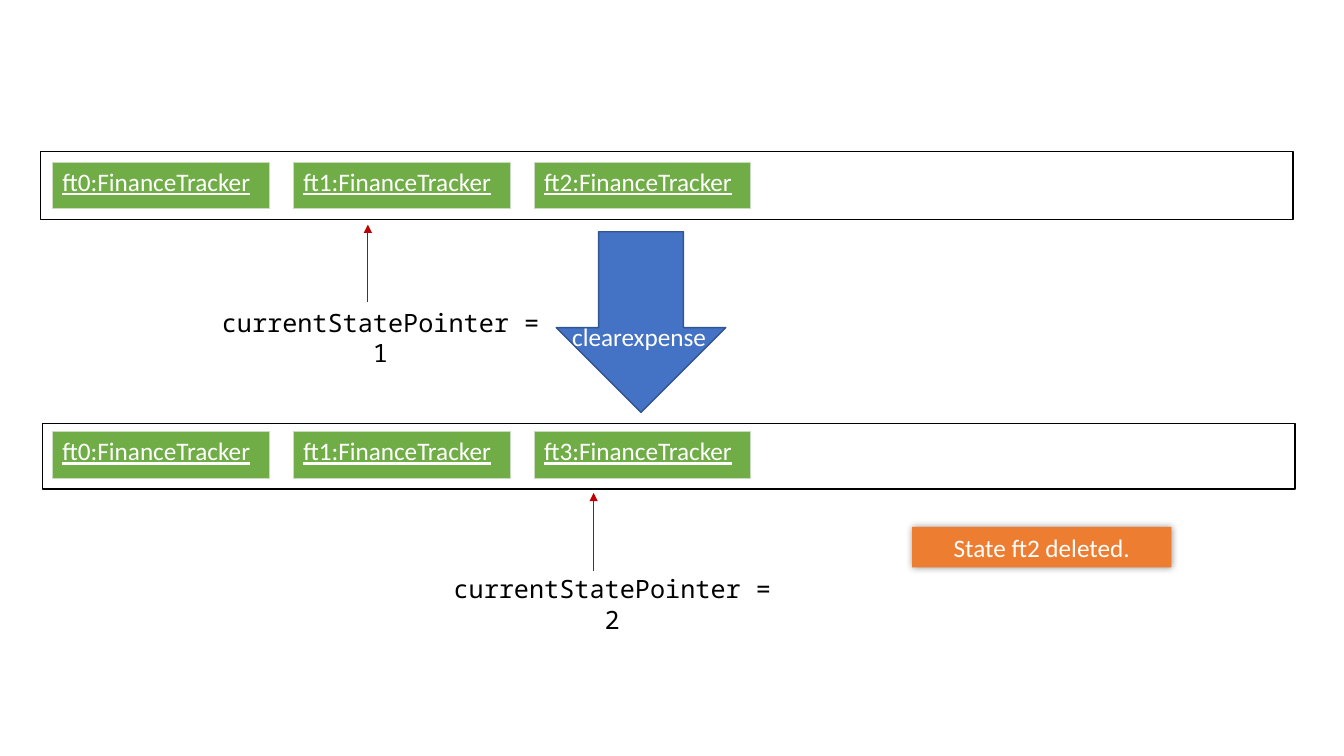
import pptx
import pptx.util
import pptx.dml.color
import pptx.enum.shapes
import pptx.enum.text
import pptx.oxml
import pptx.oxml.ns

Cm = pptx.util.Cm
Pt = pptx.util.Pt
SHAPES = pptx.enum.shapes.MSO_SHAPE
ALIGN = pptx.enum.text.PP_ALIGN
NS = pptx.oxml.ns.nsdecls("a")

HISTORIES = [
    {"frame": (1.02, 3.82, 31.57, 1.72), "states_top": 4.09,
     "states": ["ft0", "ft1", "ft2"],
     "pointer": "currentStatePointer = 1", "label": (5.13, 7.62),
     "arrow": (9.27, 7.62, 5.66)},
    {"frame": (1.07, 10.67, 31.57, 1.65), "states_top": 10.88,
     "states": ["ft0", "ft1", "ft3"],
     "pointer": "currentStatePointer = 2", "label": (10.97, 14.33),
     "arrow": (14.96, 14.38, 12.42)},
]
STATE_CLASS = "FinanceTracker"
COMMAND = "clearexpense"
NOTE = "State ft2 deleted."

STATE_LEFT, STATE_PITCH = 1.32, 6.07
STATE_WIDTH, STATE_HEIGHT = 5.46, 1.17
LABEL_WIDTH, LABEL_HEIGHT = 8.92, 1.02


def color(value):
    return pptx.dml.color.RGBColor.from_string(value)


def write(text_frame, text, ink, font="Calibri", align=ALIGN.LEFT, underline=None):
    text_frame.text = text
    paragraph = text_frame.paragraphs[0]
    paragraph.alignment = align
    for run in paragraph.runs:
        run.font.size = Pt(18)
        run.font.name = font
        run.font.underline = underline
        run.font.color.rgb = color(ink)


def add_box(kind, place, fill=None, line=None):
    box = slide.shapes.add_shape(kind, *map(Cm, place))
    box.shadow.inherit = False
    if fill:
        box.fill.solid()
        box.fill.fore_color.rgb = color(fill)
    else:
        box.fill.background()
    if line:
        box.line.color.rgb = color(line)
        box.line.width = Pt(1)
    else:
        box.line.fill.background()
    return box


def add_label(text, place, ink, font="Calibri", align=ALIGN.LEFT, wrap=True):
    label = slide.shapes.add_textbox(*map(Cm, place))
    write(label.text_frame, text, ink, font, align)
    label.text_frame.word_wrap = wrap
    label.text_frame.auto_size = pptx.enum.text.MSO_AUTO_SIZE.SHAPE_TO_FIT_TEXT


def add_state(name, left, top):
    place = map(Cm, (left, top, STATE_WIDTH, STATE_HEIGHT))
    state = slide.shapes.add_table(1, 1, *place).table
    state.first_row = state.horz_banding = False
    cell = state.cell(0, 0)
    write(cell.text_frame, f"{name}:{STATE_CLASS}", "FFFFFF", underline=True)
    properties = cell._tc.get_or_add_tcPr()
    for side in ("lnL", "lnR", "lnT", "lnB"):
        properties.append(pptx.oxml.parse_xml(
            f'<a:{side} {NS} w="6350"><a:solidFill><a:srgbClr val="C9DBC1"/>'
            f'</a:solidFill></a:{side}>'))
    cell.fill.solid()
    cell.fill.fore_color.rgb = color("70AD47")


def add_pointer(x, start, end):
    pointer = slide.shapes.add_connector(
        pptx.enum.shapes.MSO_CONNECTOR.STRAIGHT, Cm(x), Cm(start), Cm(x), Cm(end))
    pointer.line.color.rgb = color("C00000")
    pointer.line.width = Pt(0.5)
    pointer.line._get_or_add_ln().append(
        pptx.oxml.parse_xml(f'<a:tailEnd {NS} type="triangle"/>'))
    pointer._element.spPr.append(pptx.oxml.parse_xml(f'<a:effectLst {NS}/>'))


presentation = pptx.Presentation()
presentation.slide_width = Cm(33.87)
presentation.slide_height = Cm(19.05)
slide = presentation.slides.add_slide(presentation.slide_layouts[6])

add_box(SHAPES.DOWN_ARROW, (14.02, 5.84, 4.27, 4.55), "4472C4", "325491")

note = add_box(SHAPES.RECTANGLE, (22.99, 13.28, 6.53, 1.02), "ED7D31")
write(note.text_frame, NOTE, "FFFFFF", align=ALIGN.CENTER)
effects = note._element.spPr.find(pptx.oxml.ns.qn("a:effectLst"))
effects.append(pptx.oxml.parse_xml(
    f'<a:outerShdw {NS} blurRad="{Pt(5)}" dist="0" dir="0" rotWithShape="0">'
    '<a:srgbClr val="000000"><a:alpha val="40000"/></a:srgbClr></a:outerShdw>'))

for history in HISTORIES:
    add_label(history["pointer"], (*history["label"], LABEL_WIDTH, LABEL_HEIGHT),
              "000000", "Noto Sans Mono", ALIGN.CENTER)
    add_box(SHAPES.RECTANGLE, history["frame"], line="000000")
    add_pointer(*history["arrow"])
    for index, name in enumerate(history["states"]):
        add_state(name, STATE_LEFT + index * STATE_PITCH, history["states_top"])

add_label(COMMAND, (14.17, 7.98, 3.94, 1.02), "FFFFFF", wrap=False)

presentation.save("out.pptx")
